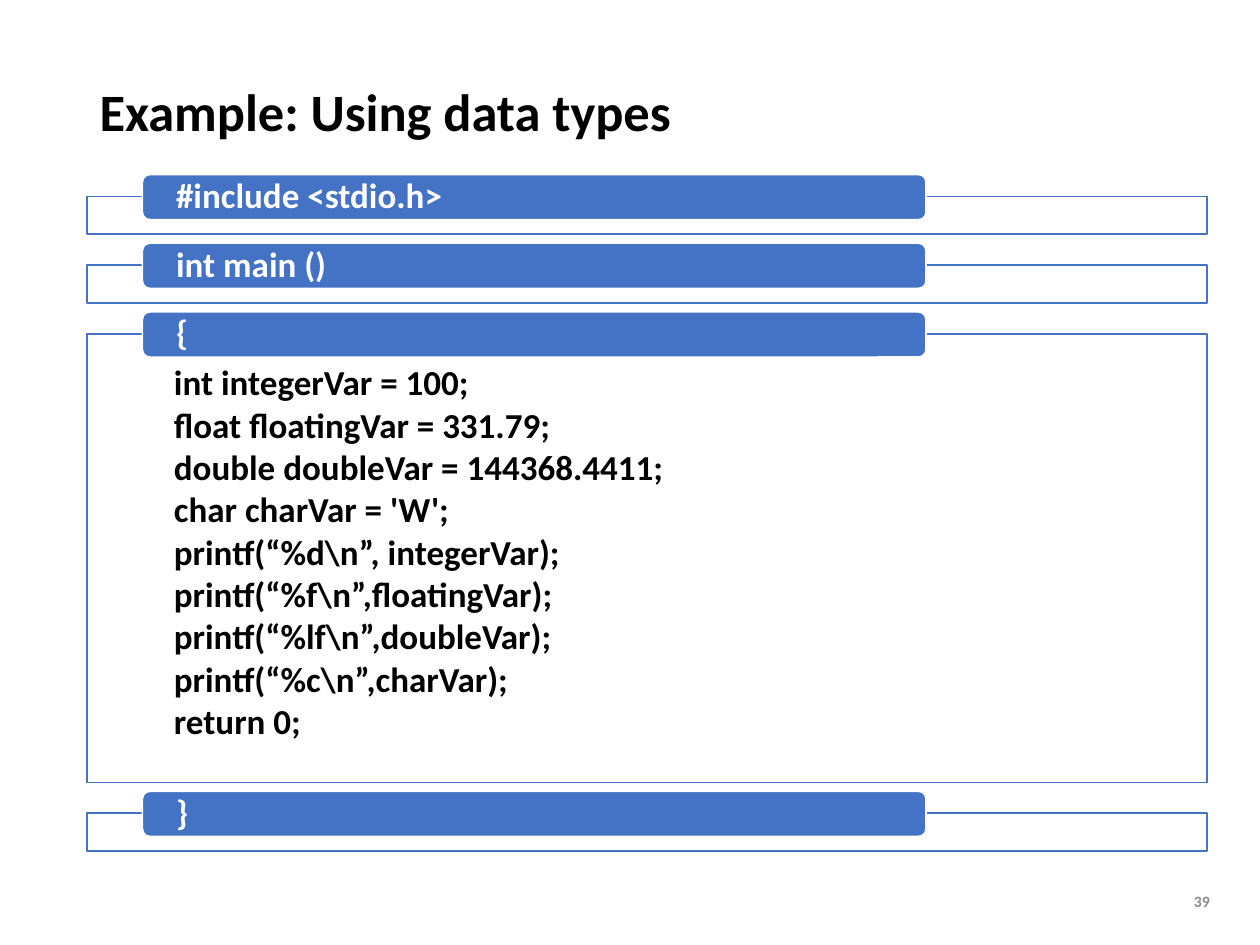
from dataclasses import dataclass

from lxml.etree import SubElement
from pptx import Presentation
from pptx.dml.color import RGBColor
from pptx.enum.shapes import MSO_SHAPE
from pptx.enum.text import MSO_ANCHOR, MSO_AUTO_SIZE, PP_ALIGN
from pptx.oxml.ns import qn
from pptx.util import Inches, Pt


@dataclass(frozen=True)
class Theme:
    font: str = "Calibri"
    accent: str = "4472C4"
    paper: str = "FFFFFF"
    ink: str = "000000"
    muted: str = "8C8C8C"
    title_size: int = 30
    code_size: int = 20
    number_size: int = 9
    line_width: int = 1
    frame_opacity: int = 90


COLUMNS, ROWS = 100, 75
FRAME_LEFT, FRAME_WIDTH = 6.9, 88.9
TAB_LEFT, TAB_WIDTH, TAB_HEIGHT, TAB_RISE = 11.3, 62.2, 3.6, 1.75
FIRST_TOP, FRAME_GAP, EMPTY_HEIGHT, BODY_HEIGHT = 15.6, 2.45, 3, 35.6

BODY_LINES = [
    "int integerVar = 100;",
    "float floatingVar = 331.79;",
    "double doubleVar = 144368.4411;",
    "char charVar = 'W';",
    "printf(“%d\\n”, integerVar);",
    "printf(“%f\\n”,floatingVar);",
    "printf(“%lf\\n”,doubleVar);",
    "printf(“%c\\n”,charVar);",
    "return 0;",
]
SECTIONS = [("#include <stdio.h>", []), ("int main ()", []), ("{", BODY_LINES), ("}", [])]


def write(shape, lines, *, font, size, color, align=PP_ALIGN.LEFT, anchor=MSO_ANCHOR.MIDDLE,
          insets=(0.1, 0.05, 0.1, 0.05), spacing=0.9, after=0):
    frame = shape.text_frame
    frame.word_wrap = True
    frame.auto_size = MSO_AUTO_SIZE.NONE
    frame.vertical_anchor = anchor
    frame.margin_left, frame.margin_top, frame.margin_right, frame.margin_bottom = map(Inches, insets)
    frame.text = "\n".join(lines)
    for paragraph in frame.paragraphs:
        paragraph.alignment = align
        paragraph.line_spacing = spacing
        paragraph.space_before, paragraph.space_after = Pt(0), Pt(after)
        properties = paragraph._p.get_or_add_pPr()
        properties.set("marL", "0")
        properties.set("indent", "0")
        SubElement(properties, qn("a:buNone"))
        for run in paragraph.runs:
            run.font.name, run.font.size, run.font.bold = font, Pt(size), True
            run.font.color.rgb = RGBColor.from_string(color)


class CodeSlide:
    """Draws code sections on one slide, measured in grid columns and rows."""

    def __init__(self, deck, theme):
        self.theme = theme
        self.slide = deck.slides.add_slide(deck.slide_layouts[1])
        self.column = deck.slide_width / COLUMNS
        self.row = deck.slide_height / ROWS

    def box(self, left, top, width, height):
        return (round(left * self.column), round(top * self.row),
                round(width * self.column), round(height * self.row))

    def place(self, shape, *grid):
        shape.left, shape.top, shape.width, shape.height = self.box(*grid)
        return shape

    def paint(self, shape, fill, line, opacity=100):
        shape.fill.solid()
        shape.fill.fore_color.rgb = RGBColor.from_string(fill)
        if opacity < 100:
            tint = shape._element.spPr.find(qn("a:solidFill"))[0]
            SubElement(tint, qn("a:alpha"), val=str(opacity * 1000))
        shape.line.color.rgb = RGBColor.from_string(line)
        shape.line.width = Pt(self.theme.line_width)

    def shape(self, kind, *grid):
        shape = self.slide.shapes.add_shape(kind, *self.box(*grid))
        shape.shadow.inherit = False
        return shape

    def title(self, text):
        heading = self.place(self.slide.shapes.title, 6.9, 5.6, 90.2, 6.9)
        write(heading, [text], font=self.theme.font, size=self.theme.title_size, color=self.theme.ink)

    def number(self, text):
        number = self.slide.shapes.add_textbox(*self.box(93.1, 69.5, 3.9, 4))
        write(number, [text], font=self.theme.font, size=self.theme.number_size,
              color=self.theme.muted, align=PP_ALIGN.RIGHT, spacing=1)

    def frame(self, top, height, lines):
        grid = (FRAME_LEFT, top, FRAME_WIDTH, height)
        if lines:
            frame = self.place(self.slide.placeholders[1], *grid)
            write(frame, lines, font=self.theme.font, size=self.theme.code_size,
                  color=self.theme.ink, anchor=MSO_ANCHOR.TOP,
                  insets=(0.69, 0.25, 0.69, 0.16), after=2.6)
        else:
            frame = self.shape(MSO_SHAPE.RECTANGLE, *grid)
        self.paint(frame, self.theme.paper, self.theme.accent, self.theme.frame_opacity)

    def tab(self, top, text):
        tab = self.shape(MSO_SHAPE.ROUNDED_RECTANGLE, TAB_LEFT, top, TAB_WIDTH, TAB_HEIGHT)
        self.paint(tab, self.theme.accent, self.theme.paper)
        write(tab, [text], font=self.theme.font, size=self.theme.code_size,
              color=self.theme.paper, insets=(0.25, 0, 0.25, 0))

    def sections(self, sections):
        top = FIRST_TOP
        for heading, lines in sections:
            height = BODY_HEIGHT if lines else EMPTY_HEIGHT
            self.frame(top, height, lines)
            self.tab(top - TAB_RISE, heading)
            top += height + FRAME_GAP


def main():
    deck = Presentation()
    deck.slide_width, deck.slide_height = Inches(10), Inches(7.5)
    example = CodeSlide(deck, Theme())
    example.title("Example: Using data types")
    example.sections(SECTIONS)
    example.number("39")
    deck.save("out.pptx")


if __name__ == "__main__":
    main()
